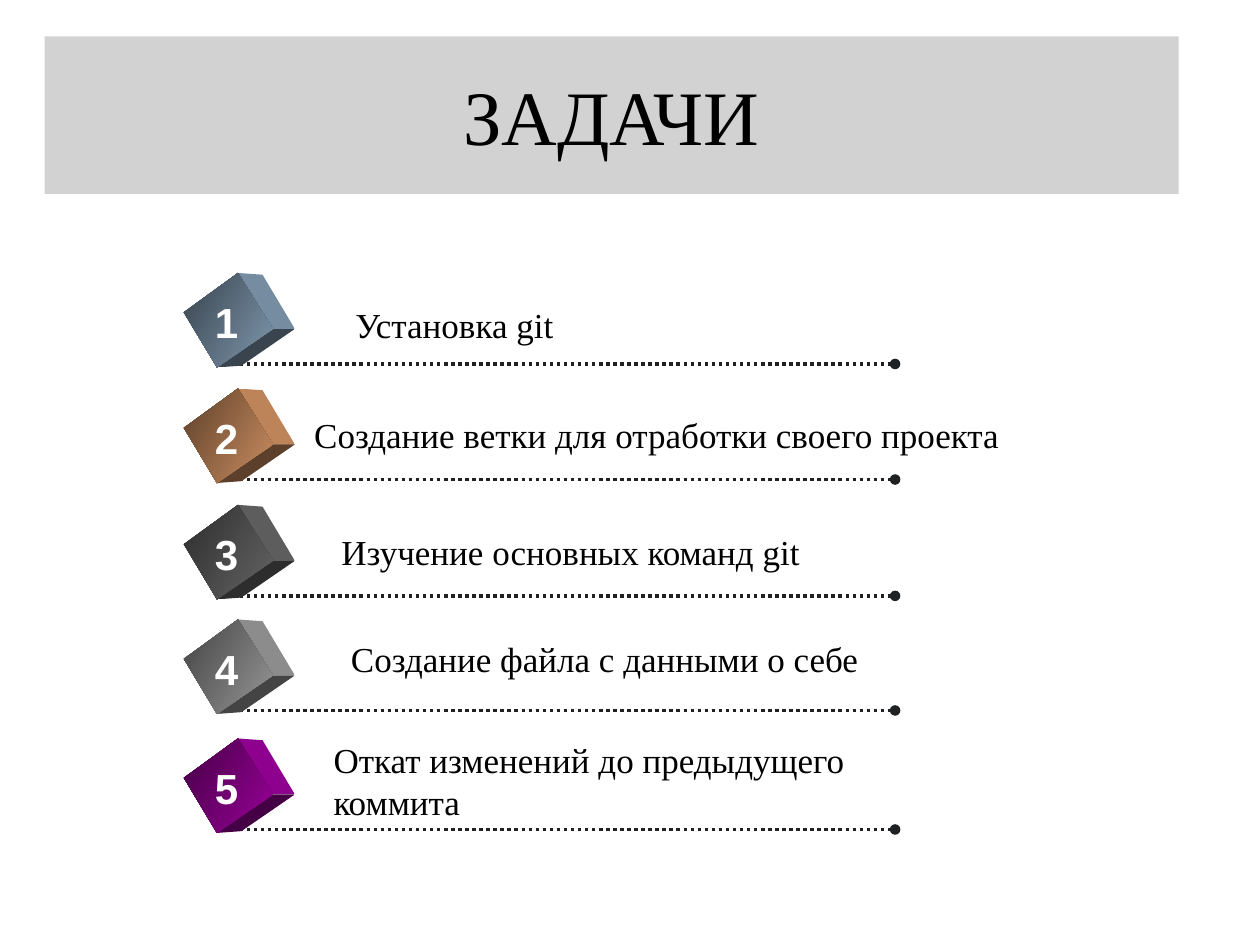
from lxml.etree import SubElement
from pptx import Presentation
from pptx.dml.color import RGBColor
from pptx.enum.dml import MSO_LINE_DASH_STYLE as Dash
from pptx.enum.shapes import MSO_CONNECTOR as Connector, MSO_SHAPE as Shape
from pptx.enum.text import MSO_ANCHOR as Anchor, PP_ALIGN as Align
from pptx.oxml.ns import qn
from pptx.util import Pt

BLACK = RGBColor(0x00, 0x00, 0x00)
WHITE = RGBColor(0xFF, 0xFF, 0xFF)
BANNER_GRAY = RGBColor(0xA6, 0xA6, 0xA6)
LINE_DARK = RGBColor(0x1F, 0x21, 0x23)
BLUE = RGBColor(0x7E, 0x97, 0xAD)
ORANGE = RGBColor(0xCC, 0x8E, 0x60)
DARK_GRAY = RGBColor(0x64, 0x64, 0x64)
GRAY = RGBColor(0x96, 0x96, 0x96)
PURPLE = RGBColor(0x99, 0x00, 0x99)

SERIF = "Times New Roman"
SANS = "Arial"

# Cube corners: x on the slide, y measured from the row's dotted line
LEFT, TOP, INNER, BOTTOM = (105, -29.5), (136, -52), (156, -20), (124, 2)
TOP_BACK, RIGHT_BACK, BOTTOM_BACK = (150, -51), (168.5, -20), (138, 1)

# Line y, cube colour, text, text box (left, top, width, height), wrapping
TASKS = [
    (208, BLUE, "Установка git", (196, 170, 277, 32), True),
    (274, ORANGE, "Создание ветки для отработки своего проекта",
     (172.5, 232.5, 410, 32), False),
    (340.5, DARK_GRAY, " Изучение основных команд git",
     (183, 299.5, 284, 32), False),
    (406, GRAY, "Создание файла с данными о себе",
     (193.5, 361, 307, 32), False),
    (474, PURPLE, "Откат изменений до предыдущего коммита",
     (183.5, 418.5, 328, 55), True),
]


def shade(color, factor):
    return RGBColor(*(round(channel * factor) for channel in color))


def write_text(shape, text, font_name, size, color, align=Align.LEFT, bold=False):
    shape.text_frame.text = text
    paragraph = shape.text_frame.paragraphs[0]
    paragraph.alignment = align
    font = paragraph.runs[0].font
    font.name, font.size, font.bold = font_name, Pt(size), bold
    font.color.rgb = color


def add_text(slide, box, text, *style, wrap=False, **options):
    shape = slide.shapes.add_textbox(*map(Pt, box))
    shape.text_frame.word_wrap = wrap
    write_text(shape, text, *style, **options)


def add_banner(slide, text):
    shape = slide.shapes.add_shape(Shape.RECTANGLE, Pt(25.5), Pt(20.75), Pt(648), Pt(90))
    shape.shadow.inherit = False
    shape.line.fill.background()
    shape.fill.solid()
    shape.fill.fore_color.rgb = BANNER_GRAY
    color = shape.fill._xPr.find(qn("a:solidFill"))[0]
    SubElement(color, qn("a:alpha")).set("val", "50000")
    shape.text_frame.vertical_anchor = Anchor.MIDDLE
    write_text(shape, text, SERIF, 44, BLACK, Align.CENTER)


def add_dotted_line(slide, y):
    connector = slide.shapes.add_connector(
        Connector.STRAIGHT, Pt(133), Pt(y), Pt(511.5), Pt(y))
    connector.line.color.rgb = LINE_DARK
    connector.line.width = Pt(2)
    connector.line.dash_style = Dash.ROUND_DOT
    SubElement(connector.line._get_or_add_ln(), qn("a:tailEnd")).set("type", "oval")
    SubElement(connector._element.spPr, qn("a:effectLst"))


def add_face(slide, y, corners, start, end):
    points = [(Pt(x), Pt(y + dy)) for x, dy in corners]
    builder = slide.shapes.build_freeform(*points[0])
    builder.add_line_segments(points[1:])
    face = builder.convert_to_shape()
    face.shadow.inherit = False
    face.line.fill.background()
    face.fill.gradient()
    face.fill.gradient_angle = 330
    for stop, color in zip(face.fill.gradient_stops, (start, end)):
        stop.color.rgb = color


def add_cube(slide, y, color, number):
    dark, side = shade(color, 0.45), shade(color, 0.93)
    add_face(slide, y, (TOP, TOP_BACK, RIGHT_BACK, INNER), side, side)
    add_face(slide, y, (INNER, RIGHT_BACK, BOTTOM_BACK, BOTTOM), dark, dark)
    add_face(slide, y, (LEFT, TOP, INNER, BOTTOM), dark, color)
    add_text(slide, (115.5, y - 42, 28, 36), str(number), SANS, 24, WHITE,
             align=Align.CENTER, bold=True)


def main():
    presentation = Presentation()
    presentation.slide_width, presentation.slide_height = Pt(720), Pt(540)
    slide = presentation.slides.add_slide(presentation.slide_layouts[6])

    # Title
    add_banner(slide, "ЗАДАЧИ")

    # Numbered tasks
    for number, (y, color, text, box, wrap) in enumerate(TASKS, start=1):
        add_dotted_line(slide, y)
        add_cube(slide, y, color, number)
        add_text(slide, box, text, SERIF, 20, BLACK, wrap=wrap)

    presentation.save("out.pptx")


if __name__ == "__main__":
    main()
